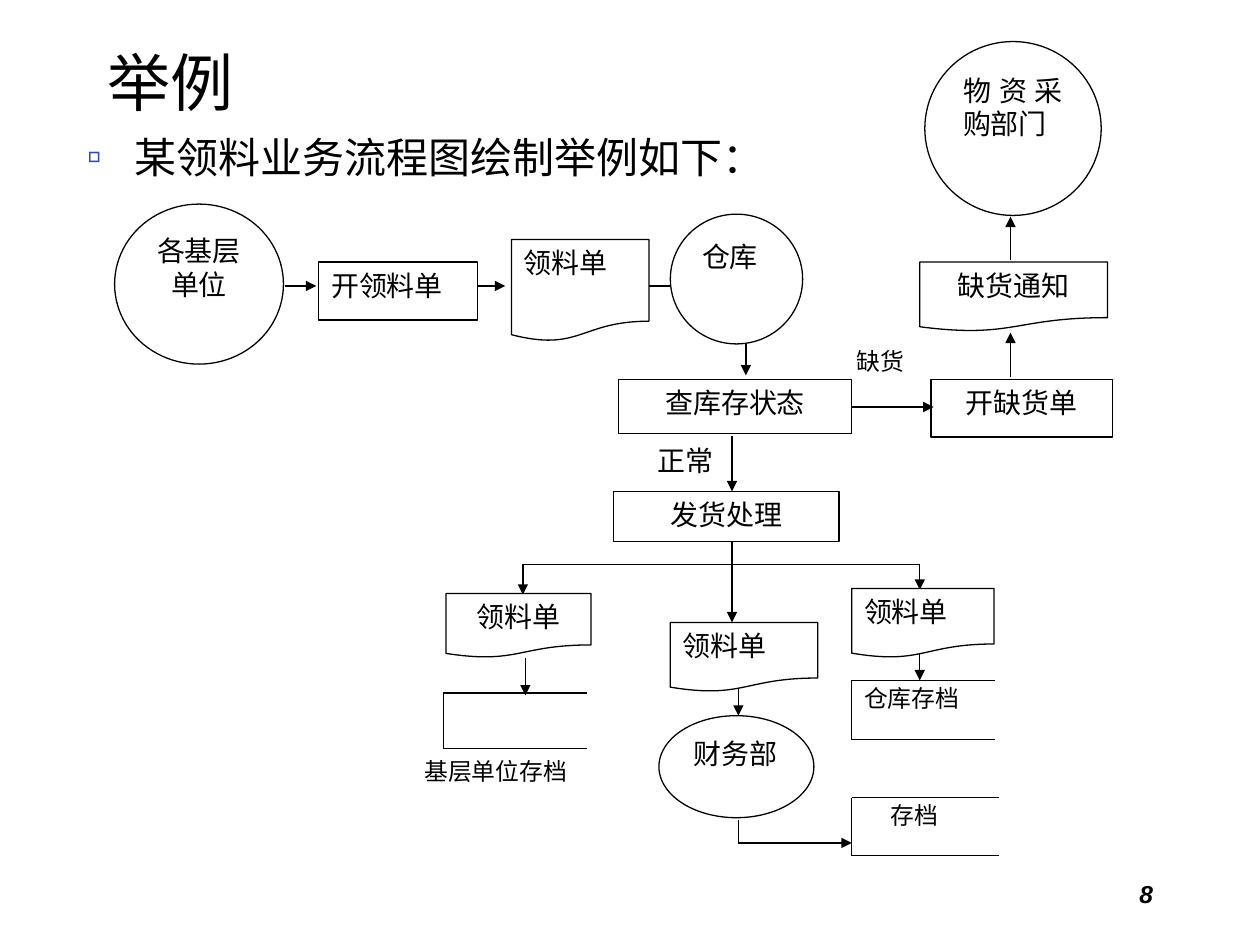
from dataclasses import dataclass
from typing import Any

from lxml import etree
from pptx import Presentation
from pptx.dml.color import RGBColor
from pptx.enum.shapes import MSO_CONNECTOR, MSO_SHAPE
from pptx.enum.text import MSO_ANCHOR, PP_ALIGN
from pptx.oxml.ns import qn
from pptx.util import Inches, Pt

BLACK = RGBColor(0x00, 0x00, 0x00)
WHITE = RGBColor(0xFF, 0xFF, 0xFF)
BULLET_BLUE = RGBColor(0x37, 0x4D, 0x95)
LEFT, CENTER, RIGHT, JUSTIFY = PP_ALIGN.LEFT, PP_ALIGN.CENTER, PP_ALIGN.RIGHT, PP_ALIGN.JUSTIFY
TOP, MIDDLE = MSO_ANCHOR.TOP, MSO_ANCHOR.MIDDLE
ELLIPSE, RECTANGLE = MSO_SHAPE.OVAL, MSO_SHAPE.RECTANGLE
DOCUMENT = MSO_SHAPE.FLOWCHART_DOCUMENT
STRAIGHT = MSO_CONNECTOR.STRAIGHT
COLUMNS, ROWS = 100, 75
CELL = Inches(0.1)


def write_text(frame, text, size=16, font="Times New Roman", align=JUSTIFY,
               anchor=TOP, spacing=None, bold=False, italic=False):
    frame.word_wrap = True
    frame.vertical_anchor = anchor
    para = frame.paragraphs[0]
    para.alignment = align
    para.line_spacing = spacing
    span = para.add_run()
    span.text = text
    span.font.size = Pt(size)
    span.font.name = font
    span.font.bold = bold
    span.font.italic = italic
    span.font.color.rgb = BLACK
    return para


@dataclass
class Region:
    """Part of the page; lengths are grid cells counted from its corner."""
    page: Any
    left: float
    top: float

    def point(self, x, y):
        return round((self.left + x) * CELL), round((self.top + y) * CELL)

    def frame(self, x, y, width, height):
        return *self.point(x, y), round(width * CELL), round(height * CELL)

    def node(self, kind, place, text, align=JUSTIFY):
        box = self.page.shapes.add_shape(kind, *self.frame(*place))
        box.shadow.inherit = False
        box.fill.solid()
        box.fill.fore_color.rgb = WHITE
        box.line.color.rgb = BLACK
        box.line.width = Pt(0.75)
        write_text(box.text_frame, text, align=align)

    def label(self, place, text, **text_format):
        box = self.page.shapes.add_textbox(*self.frame(*place))
        write_text(box.text_frame, text, **text_format)

    def small_label(self, place, text, align=JUSTIFY):
        self.label(place, text, size=13.6, spacing=0.9, align=align)

    def line(self, start, end, arrow=False):
        connector = self.page.shapes.add_connector(
            STRAIGHT, *self.point(*start), *self.point(*end))
        connector.line.color.rgb = BLACK
        connector.line.width = Pt(0.75)
        properties = connector.element.spPr
        if arrow:
            outline = properties.find(qn("a:ln"))
            etree.SubElement(outline, qn("a:tailEnd"), type="triangle")
        etree.SubElement(properties, qn("a:effectLst"))

    def arrow(self, start, end):
        self.line(start, end, arrow=True)

    def archive(self, x, y, width, height):
        """Data store: a box that is open on its right side."""
        self.line((x, y), (x, y + height))
        for edge in (y, y + height):
            self.line((x, edge), (x + width, edge))


def fill_placeholder(holder, frame, text, **text_format):
    holder.left, holder.top, holder.width, holder.height = frame
    return write_text(holder.text_frame, text, font="Arial", align=LEFT, **text_format)


def draw_header(region):
    title, body = region.page.placeholders
    fill_placeholder(title, region.frame(1.6, 0, 54.2, 6.9), "举例", size=36, anchor=MIDDLE)
    para = fill_placeholder(body, region.frame(0, 6.9, 89.1, 54.7),
                            "某领料业务流程图绘制举例如下：", size=24)
    para.space_before = Pt(6)
    properties = para._p.get_or_add_pPr()
    properties.set("marL", str(Inches(0.38)))
    properties.set("indent", str(-Inches(0.38)))
    colour = etree.SubElement(properties, qn("a:buClr"))
    etree.SubElement(colour, qn("a:srgbClr"), val=str(BULLET_BLUE))
    etree.SubElement(properties, qn("a:buFont"), typeface="Arial")
    etree.SubElement(properties, qn("a:buChar"), char="▫")


def draw_request(region):
    middle = 6.7
    for start, end in ((13.6, 16.1), (28.9, 31.1), (42.4, 45.3)):
        region.arrow((start, middle), (end, middle))
    region.node(ELLIPSE, (0.1, 0.2, 13.4, 12.7), "各基层单位", CENTER)
    region.node(RECTANGLE, (16.3, 4.8, 12.6, 4.6), "开领料单")
    region.node(DOCUMENT, (31.6, 3, 10.9, 8.1), "领料单")
    region.node(ELLIPSE, (44.2, 1, 10.5, 10.3), "仓库")


def draw_stock_check(region):
    region.arrow((11.2, 0.5), (11.2, 3.8))
    region.node(RECTANGLE, (1.1, 4.1, 18.5, 4.3), "查库存状态", CENTER)
    region.node(RECTANGLE, (0.7, 13, 17.9, 4), "发货处理", CENTER)
    region.label((3.2, 8.7, 11.9, 4.5), "正常")
    region.arrow((10.1, 8.6), (10.1, 13))


def draw_shortage(region):
    region.node(ELLIPSE, (6.4, 0.3, 14, 13.8), "物资采购部门")
    region.node(DOCUMENT, (6, 17.8, 14.9, 5.5), "缺货通知", CENTER)
    region.node(RECTANGLE, (6.9, 27.1, 14.4, 4.6), "开缺货单", CENTER)
    region.small_label((0, 24.3, 7.8, 3.5), "缺货")
    region.arrow((0.5, 29.3), (7.1, 29.3))
    for start, end in ((17.6, 14.2), (26.9, 23.4)):
        region.arrow((13.2, start), (13.2, end))


def draw_distribution(region):
    branch = 1.8
    region.line((9.5, branch), (41, branch))
    for x, start, end in ((9.5, branch, 4.2), (26.1, 0, 6.4), (41, branch, 3.8),
                          (9.7, 9.2, 12.2), (26.6, 11.4, 13.8), (41, 8.6, 11)):
        region.arrow((x, start), (x, end))
    region.node(DOCUMENT, (3.4, 4.1, 11.5, 5.1), "领料单", CENTER)
    region.node(DOCUMENT, (21.2, 6.4, 11.7, 5.5), "领料单")
    region.node(DOCUMENT, (35.6, 3.7, 11.3, 5.5), "领料单")
    region.node(ELLIPSE, (20.3, 13.8, 12.3, 8.1), "财务部")
    region.line((26.6, 22.1), (26.6, 23.9))
    region.arrow((26.6, 23.9), (35.6, 23.9))
    region.archive(3.2, 12, 11.4, 4.4)
    region.archive(35.6, 11, 11.4, 4.7)
    region.archive(35.6, 20.3, 11.7, 4.6)
    region.small_label((0.7, 16.8, 18.7, 3.5), "基层单位存档")
    region.small_label((35.6, 11, 13.5, 3.5), "仓库存档")
    region.small_label((34.7, 20.3, 11.7, 3.5), "存档", CENTER)


def draw_page_number(region):
    region.label((0, 0, 23.3, 5.2), "8", size=14, font="Arial",
                 align=RIGHT, bold=True, italic=True)


def main():
    deck = Presentation()
    deck.slide_width, deck.slide_height = COLUMNS * CELL, ROWS * CELL
    page = deck.slides.add_slide(deck.slide_layouts[1])
    draw_header(Region(page, 5.9, 3))
    draw_stock_check(Region(page, 48, 26))
    draw_request(Region(page, 9, 16))
    draw_shortage(Region(page, 67, 3))
    draw_distribution(Region(page, 32, 43))
    draw_page_number(Region(page, 69.2, 69.3))
    deck.save("out.pptx")


if __name__ == "__main__":
    main()
